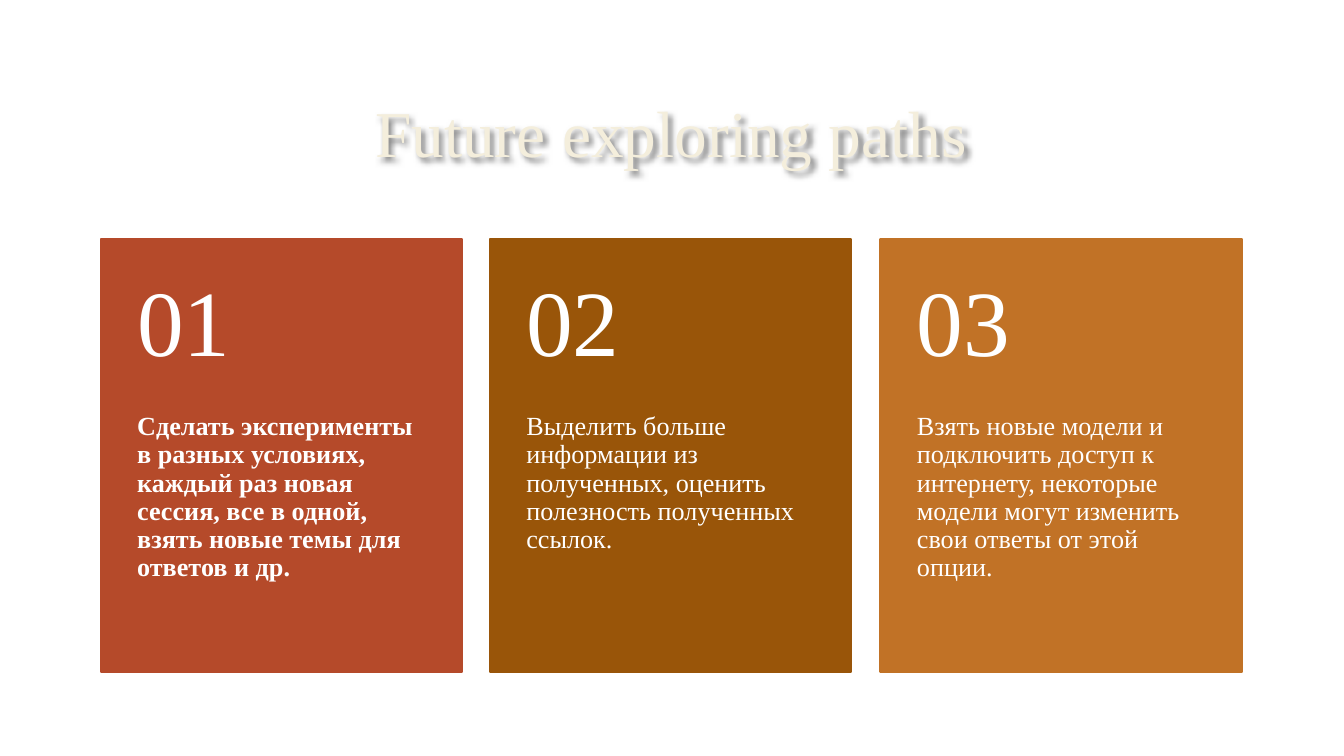
from dataclasses import dataclass

from lxml.etree import SubElement
from pptx import Presentation
from pptx.dml.color import RGBColor
from pptx.enum.shapes import MSO_SHAPE
from pptx.enum.text import MSO_ANCHOR, MSO_AUTO_SIZE, PP_ALIGN
from pptx.oxml.ns import qn
from pptx.util import Pt

PX = 9525


@dataclass(frozen=True)
class Theme:
    """Colours, font and type sizes of the slide."""
    font: str = "Times New Roman"
    title: str = "F4EEDC"
    text: str = "FFFFFF"
    shadow: str = "000000"
    cards: tuple = ("B54A2A", "995509", "C17226")
    title_size: int = 35
    number_size: int = 50
    body_size: int = 14
    border: float = 1.25


THEME = Theme()
PATHS = [
    ("Сделать эксперименты в разных условиях, каждый раз новая сессия, "
     "все в одной, взять новые темы для ответов и др.", True),
    ("Выделить больше информации из полученных, оценить полезность "
     "полученных ссылок.", False),
    ("Взять новые модели и подключить доступ к интернету, некоторые "
     "модели могут изменить свои ответы от этой опции.", False),
]


def emu(*lengths):
    """Turn px lengths into EMU."""
    return [n * PX for n in lengths]


def write(shape, text, *, size, color=THEME.text, bold=False,
          align=PP_ALIGN.LEFT, anchor=MSO_ANCHOR.TOP, before=0,
          insets=(0, 0, 0, 0)):
    """Fill a shape with one formatted paragraph."""
    tf = shape.text_frame
    tf.word_wrap = True
    tf.auto_size = MSO_AUTO_SIZE.NONE
    tf.vertical_anchor = anchor
    (tf.margin_left, tf.margin_top,
     tf.margin_right, tf.margin_bottom) = emu(*insets)
    p = tf.paragraphs[0]
    p.alignment = align
    p.line_spacing = 0.9
    p.space_before = Pt(before)
    r = p.add_run()
    r.text = text
    r.font.name = THEME.font
    r.font.size = Pt(size)
    r.font.bold = bold
    r.font.color.rgb = RGBColor.from_string(color)


def add_shadow(sp):
    """Give an unfilled shape, and so its text, a soft shadow."""
    sp.fill.background()
    effects = SubElement(sp._element.spPr, qn("a:effectLst"))
    shadow = SubElement(effects, qn("a:outerShdw"), blurRad="38100",
                        dist="25400", dir="2700000", algn="tl")
    clr = SubElement(shadow, qn("a:srgbClr"), val=THEME.shadow)
    SubElement(clr, qn("a:alpha"), val="50000")


def add_title(s, text, x, y, w, h):
    """Place the title placeholder in the given box."""
    sp = s.shapes.title
    sp.left, sp.top, sp.width, sp.height = emu(x, y, w, h)
    write(sp, text, size=THEME.title_size, color=THEME.title,
          align=PP_ALIGN.CENTER, anchor=MSO_ANCHOR.MIDDLE,
          insets=(7, 4, 7, 4))
    add_shadow(sp)


def add_card(s, number, text, bold, color, x, y, w, h):
    """Group a filled card with its body text and its number."""
    head = round(h * 0.4)
    shapes = s.shapes.add_group_shape().shapes
    card = shapes.add_shape(MSO_SHAPE.RECTANGLE, *emu(x, y, w, h))
    card.shadow.inherit = False
    card.fill.solid()
    card.fill.fore_color.rgb = RGBColor.from_string(color)
    card.line.color.rgb = RGBColor.from_string(color)
    card.line.width = Pt(THEME.border)
    write(shapes.add_textbox(*emu(x, y + head, w, h - head)), text,
          size=THEME.body_size, bold=bold, before=5, insets=(26, 0, 26, 26))
    write(shapes.add_textbox(*emu(x, y, w, head)), f"{number:02d}",
          size=THEME.number_size, anchor=MSO_ANCHOR.MIDDLE,
          insets=(26, 13, 26, 13))


def add_cards(s, paths, x, y, w, h, card_w=258):
    """Spread the cards evenly over the given box."""
    for i, ((text, bold), color) in enumerate(zip(paths, THEME.cards)):
        left = x + i * (w - card_w) // (len(paths) - 1)
        add_card(s, i + 1, text, bold, color, left, y, card_w, h)


def main():
    """Build and save the slide."""
    prs = Presentation()
    prs.slide_width, prs.slide_height = emu(960, 540)
    s = prs.slides.add_slide(prs.slide_layouts[5])
    add_title(s, "Future exploring paths", 72, 48, 815, 99)
    add_cards(s, PATHS, 72, 171, 815, 309)
    prs.save("out.pptx")


if __name__ == "__main__":
    main()
